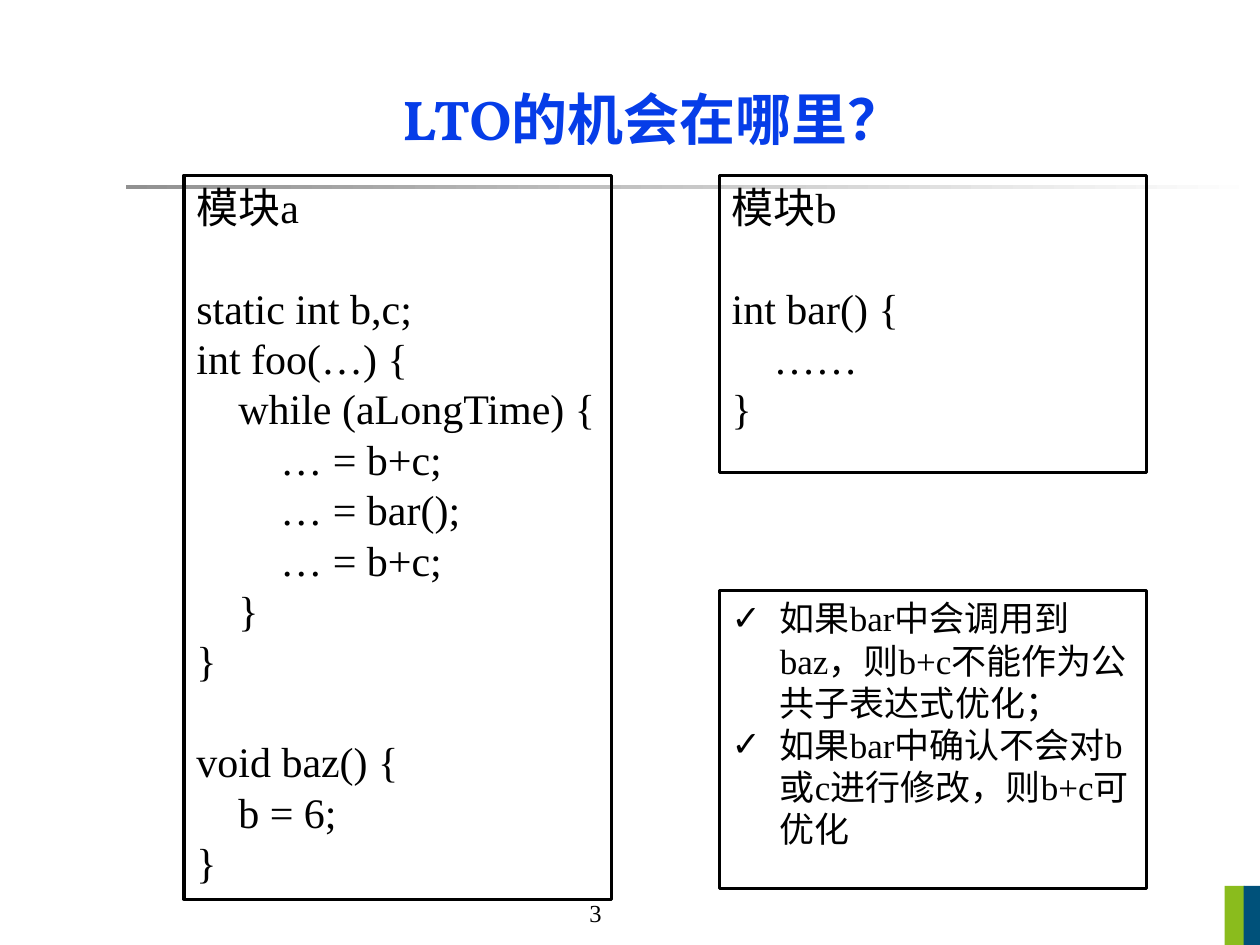
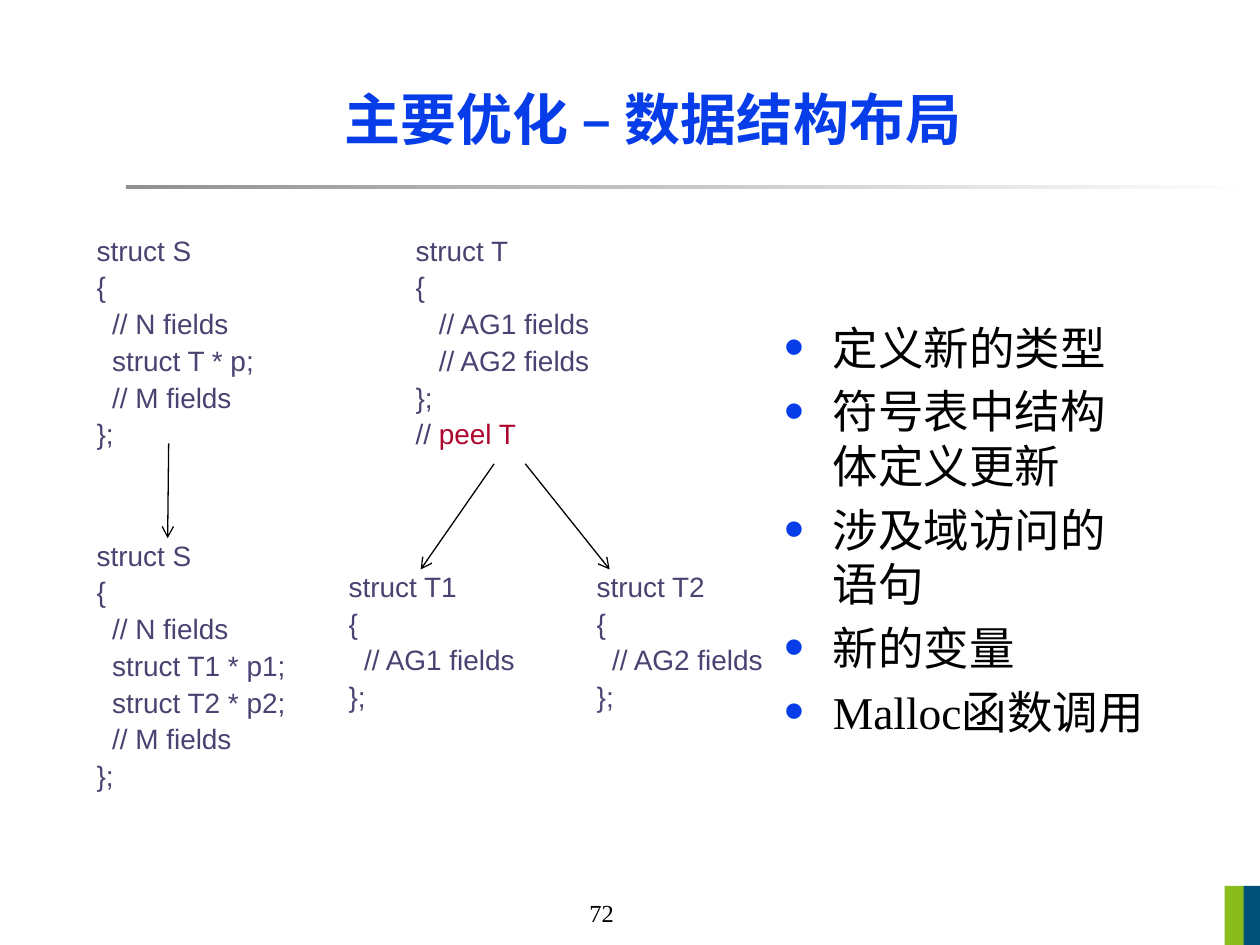
from lxml.etree import SubElement
from pptx import Presentation
from pptx.dml.color import RGBColor
from pptx.enum.lang import MSO_LANGUAGE_ID as Lang
from pptx.enum.shapes import MSO_CONNECTOR as Line, MSO_SHAPE as Shape
from pptx.enum.text import MSO_ANCHOR as Anchor, PP_ALIGN as Align
from pptx.oxml.ns import qn
from pptx.util import Cm, Pt

BLACK, BLUE, CODE, RED = "000000", "063DE8", "4A4270", "AD052D"
SERIF, SANS, TITLE = "Times New Roman", "Arial", "Vollkorn"
HANG = 0.97

LTO = {
    "title": "LTO的机会在哪里？",
    "page": "3",
    "modules": [
        ((3.71, 3.53, 8.61, 14.6), [
            "模块a",
            "",
            "static int b,c;",
            "int foo(…) {",
            "    while (aLongTime) {",
            "        … = b+c;",
            "        … = bar();",
            "        … = b+c;",
            "    }",
            "}",
            "",
            "void baz() {",
            "    b = 6;",
            "}",
        ]),
        ((14.5, 3.53, 8.61, 6), [
            "模块b",
            "",
            "int bar() {",
            "    ……",
            "}",
        ]),
    ],
    "notes": ((14.5, 11.91, 8.61, 6), [
        "如果bar中会调用到baz，则b+c不能作为公共子表达式优化；",
        "如果bar中确认不会对b或c进行修改，则b+c可优化",
    ]),
}

LAYOUT = {
    "title": "主要优化 – 数据结构布局",
    "page": "72",
    "steps": ((15.57, 6.32, 7.82, 10.34), [
        "定义新的类型",
        "符号表中结构体定义更新",
        "涉及域访问的语句",
        "新的变量",
        "Malloc函数调用",
    ]),
    "structs": [
        ((1.7, 4.9, 12.27, 4.24), 6.43, [
            "struct S\tstruct T",
            "{\t{",
            "  // N fields\t   // AG1 fields",
            "  struct T * p;\t   // AG2 fields",
            "  // M fields\t};",
            ["};\t// ", ("peel T", RED)],
        ]),
        ((1.7, 11.05, 4.45, 5.08), None, [
            "struct S",
            "{",
            "  // N fields",
            "  struct T1 * p1;",
            "  struct T2 * p2;",
            "  // M fields",
            "};",
        ]),
        ((6.78, 11.68, 9.09, 3.18), 5, [
            "struct T1\tstruct T2",
            "{\t{",
            "  // AG1 fields\t  // AG2 fields",
            "};\t};",
        ]),
    ],
    "arrows": [
        (3.4, 8.94, 3.38, 10.85),
        (9.96, 9.35, 8.48, 11.48),
        (10.59, 9.35, 12.29, 11.48),
    ],
}


def rgb(hex_color):
    return RGBColor.from_string(hex_color)


def cm(values):
    return [Cm(v) for v in values]


def add_rect(s, at, fill=None):
    sp = s.shapes.add_shape(Shape.RECTANGLE, *cm(at))
    sp.shadow.inherit = False
    if fill:
        sp.fill.solid()
        sp.fill.fore_color.rgb = rgb(fill)
        sp.line.fill.background()
    else:
        sp.fill.background()
        sp.line.color.rgb = rgb(BLACK)
        sp.line.width = Pt(1.75)
    return sp


def add_box(s, at, wrap=True):
    sp = s.shapes.add_textbox(*cm(at))
    sp.text_frame.word_wrap = wrap
    return sp


def add_bullet(p, char, color=BLACK, percent=100):
    pPr = p._p.get_or_add_pPr()
    pPr.set("marL", str(Cm(HANG)))
    pPr.set("indent", str(-Cm(HANG)))
    clr = SubElement(pPr, qn("a:buClr"))
    SubElement(clr, qn("a:srgbClr"), val=color)
    SubElement(pPr, qn("a:buSzPct"), val=str(percent * 1000))
    SubElement(pPr, qn("a:buFont"), typeface=SANS)
    SubElement(pPr, qn("a:buChar"), char=char)


def add_tab(p, pos):
    tabs = SubElement(p._p.get_or_add_pPr(), qn("a:tabLst"))
    SubElement(tabs, qn("a:tab"), pos=str(Cm(pos)), algn="l")


def write(sp, lines, size, font=SERIF, color=BLACK, bold=False, align=Align.LEFT,
          spacing=None, before=0, bullet=None, tab=None):
    tf = sp.text_frame
    tf.vertical_anchor = Anchor.TOP
    spacing = spacing or size * 1.2
    gap, first = 0, True
    for line in lines:
        if not line:
            gap += spacing
            continue
        p = tf.paragraphs[0] if first else tf.add_paragraph()
        p.alignment = align
        p.line_spacing = Pt(spacing)
        p.space_before = Pt(0 if first else before + gap)
        if bullet:
            add_bullet(p, *bullet)
        if tab:
            add_tab(p, tab)
        for part in [line] if isinstance(line, str) else line:
            text, run_color = (part, color) if isinstance(part, str) else part
            r = p.add_run()
            r.text = text
            r.font.name, r.font.size, r.font.bold = font, Pt(size), bold
            r.font.color.rgb = rgb(run_color)
            r.font.language_id = Lang.SIMPLIFIED_CHINESE
        gap, first = 0, False


def add_arrow(s, ends):
    c = s.shapes.add_connector(Line.STRAIGHT, *cm(ends))
    c.line.color.rgb = rgb(BLACK)
    c.line.width = Pt(0.75)
    SubElement(c.line._get_or_add_ln(), qn("a:tailEnd"), type="arrow")
    SubElement(c._element.spPr, qn("a:effectLst"))


def add_base(prs, content):
    s = prs.slides.add_slide(prs.slide_layouts[6])
    write(add_box(s, (11.63, 17.98, 1.09, 0.84), wrap=False), [content["page"]], 14)
    rule = add_rect(s, (2.54, 3.73, 22.86, 0.08), "919191")
    rule.fill.gradient()
    rule.fill.gradient_angle = 0
    for stop, color in zip(rule.fill.gradient_stops, ("919191", "FFFFFF")):
        stop.color.rgb = rgb(color)
    for left, width, color in ((24.69, 0.4, "8ABC1D"), (25.07, 0.33, "00517A")):
        add_rect(s, (left, 17.86, width, 1.19), color)
    title = add_box(s, (2.69, 1.12, 20.96, 2.54))
    write(title, [content["title"]], 32, TITLE, BLUE, bold=True, align=Align.CENTER)
    title.text_frame.vertical_anchor = Anchor.MIDDLE
    return s


def build_lto(prs):
    s = add_base(prs, LTO)
    for at, lines in LTO["modules"]:
        write(add_rect(s, at), lines, 24)
    at, notes = LTO["notes"]
    write(add_rect(s, at), notes, 20, bullet=("✓",))


def build_layout(prs):
    s = add_base(prs, LAYOUT)
    at, steps = LAYOUT["steps"]
    write(add_box(s, at), steps, 26, before=5.2, bullet=("•", BLUE, 125))
    for at, tab, lines in LAYOUT["structs"]:
        write(add_box(s, at), lines, 16, SANS, CODE, spacing=10, before=11, tab=tab)
    for ends in LAYOUT["arrows"]:
        add_arrow(s, ends)


def main():
    prs = Presentation()
    prs.slide_width, prs.slide_height = Cm(25.4), Cm(19.05)
    build_lto(prs)
    build_layout(prs)
    prs.save("out.pptx")


if __name__ == "__main__":
    main()
